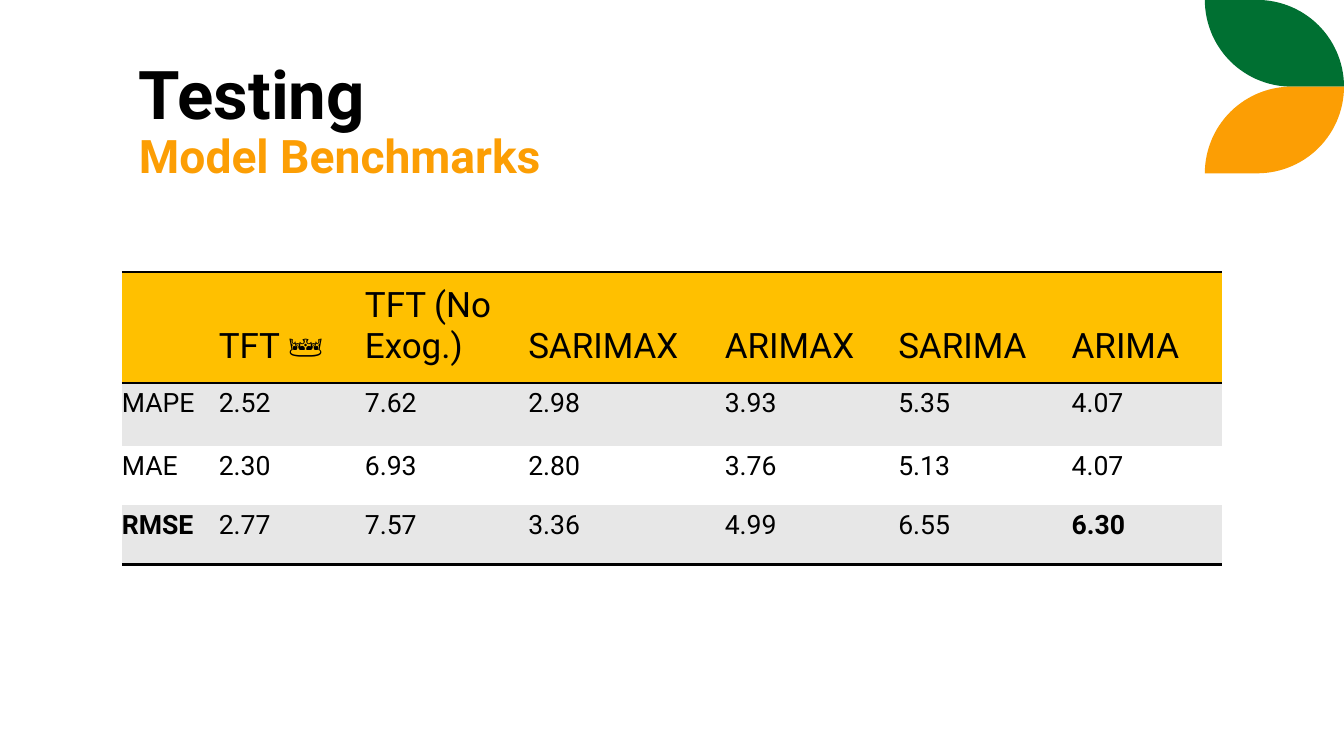
from dataclasses import dataclass
from math import cos, radians, sin

from lxml.etree import SubElement
from pptx import Presentation
from pptx.dml.color import RGBColor
from pptx.enum.text import MSO_ANCHOR
from pptx.oxml.ns import qn
from pptx.util import Inches, Pt


@dataclass(frozen=True)
class Theme:
    font: str = "Roboto"
    black: str = "000000"
    white: str = "FFFFFF"
    green: str = "007032"
    orange: str = "FC9E04"
    amber: str = "FFC000"
    gray: str = "E7E7E7"
    title_size: int = 48
    subtitle_size: int = 33
    header_size: int = 25
    body_size: int = 19
    rule_width: int = 2
    plain_table: str = "{2D5ABB26-0587-4C30-8999-92F81FD0307C}"


class SlideBuilder:
    def __init__(self, slide, theme):
        self.slide = slide
        self.theme = theme

    def format_runs(self, paragraph, size, color, bold=False):
        for run in paragraph.runs:
            run.font.name = self.theme.font
            run.font.size = Pt(size)
            run.font.bold = bold
            run.font.color.rgb = RGBColor.from_string(color)

    def leaf(self, outline, color):
        points = [(Inches(x), Inches(y)) for x, y in outline]
        builder = self.slide.shapes.build_freeform(*points[0])
        builder.add_line_segments(points[1:], close=True)
        leaf = builder.convert_to_shape()
        leaf.shadow.inherit = False
        leaf.fill.solid()
        leaf.fill.fore_color.rgb = RGBColor.from_string(color)
        leaf.line.fill.background()

    def heading(self, lines, left, top, width, height):
        box = self.slide.shapes.add_textbox(
            Inches(left), Inches(top), Inches(width), Inches(height))
        frame = box.text_frame
        frame.word_wrap = True
        frame.vertical_anchor = MSO_ANCHOR.BOTTOM
        frame.text = "\n".join(text for text, _, _ in lines)
        for paragraph, (_, size, color) in zip(frame.paragraphs, lines):
            paragraph.line_spacing = 0.9
            self.format_runs(paragraph, size, color, bold=True)

    def rule(self, cell, side):
        line = SubElement(cell._tc.get_or_add_tcPr(), qn(f"a:{side}"),
                          w=str(Pt(self.theme.rule_width)))
        fill = SubElement(line, qn("a:solidFill"))
        SubElement(fill, qn("a:srgbClr"), val=self.theme.black)

    def cell(self, cell, text, size, fill, top_inset, anchor, sides, bold):
        for side in sides:
            self.rule(cell, side)
        cell.fill.solid()
        cell.fill.fore_color.rgb = RGBColor.from_string(fill)
        cell.margin_left = 0
        cell.margin_top = Inches(top_inset)
        cell.margin_right = cell.margin_bottom = Inches(0.16)
        cell.vertical_anchor = anchor
        cell.text_frame.text = text
        self.format_runs(cell.text_frame.paragraphs[0], size, self.theme.black, bold)

    def table(self, rows, left, top, widths, heights, bold_texts):
        theme = self.theme
        table = self.slide.shapes.add_table(
            len(rows), len(widths), Inches(left), Inches(top),
            Inches(sum(widths)), Inches(sum(heights))).table
        table._tbl.tblPr.find(qn("a:tableStyleId")).text = theme.plain_table
        table.horz_banding = False
        for column, width in zip(table.columns, widths):
            column.width = Inches(width)
        for r, (values, height) in enumerate(zip(rows, heights)):
            table.rows[r].height = Inches(height)
            if r == 0:
                look = (theme.header_size, theme.amber, 0.03,
                        MSO_ANCHOR.BOTTOM, ("lnT", "lnB"))
            else:
                look = (theme.body_size, theme.gray if r % 2 else theme.white, 0.05,
                        MSO_ANCHOR.TOP, ("lnB",) if r == len(rows) - 1 else ())
            for c, text in enumerate(values):
                self.cell(table.cell(r, c), text, *look, text in bold_texts)


def leaf_outline(left, right, height):
    """Two opposite quarter circles joined by straight edges."""
    angles = [radians(3 * step) for step in range(31)]
    upper = [(right - height + height * sin(a), height - height * cos(a)) for a in angles]
    lower = [(left + height - height * sin(a), height * cos(a)) for a in angles]
    return upper + lower


def main():
    theme = Theme()
    deck = Presentation()
    deck.slide_width, deck.slide_height = Inches(13.33), Inches(7.5)
    builder = SlideBuilder(deck.slides.add_slide(deck.slide_layouts[6]), theme)

    # Corner leaves: the lower one mirrors the upper one
    leaf_height = 0.86
    upper_leaf = leaf_outline(11.95, 13.33, leaf_height)
    lower_leaf = [(x, 2 * leaf_height - y) for x, y in upper_leaf]
    builder.leaf(upper_leaf, theme.green)
    builder.leaf(lower_leaf, theme.orange)

    # Title and subtitle
    builder.heading([("Testing", theme.title_size, theme.black),
                     ("Model Benchmarks", theme.subtitle_size, theme.orange)],
                    1.28, 0.42, 10.69, 1.45)

    # Benchmark table
    benchmarks = [
        ("", "TFT 👑", "TFT (No Exog.)", "SARIMAX", "ARIMAX", "SARIMA", "ARIMA"),
        ("MAPE", "2.52", "7.62", "2.98", "3.93", "5.35", "4.07"),
        ("MAE", "2.30", "6.93", "2.80", "3.76", "5.13", "4.07"),
        ("RMSE", "2.77", "7.57", "3.36", "4.99", "6.55", "6.30"),
    ]
    builder.table(benchmarks, 1.21, 2.7,
                  widths=[0.96, 1.45, 1.62, 1.95, 1.72, 1.72, 1.49],
                  heights=[1.1, 0.62, 0.59, 0.59],
                  bold_texts={"RMSE", "6.30"})

    deck.save("out.pptx")


if __name__ == "__main__":
    main()
